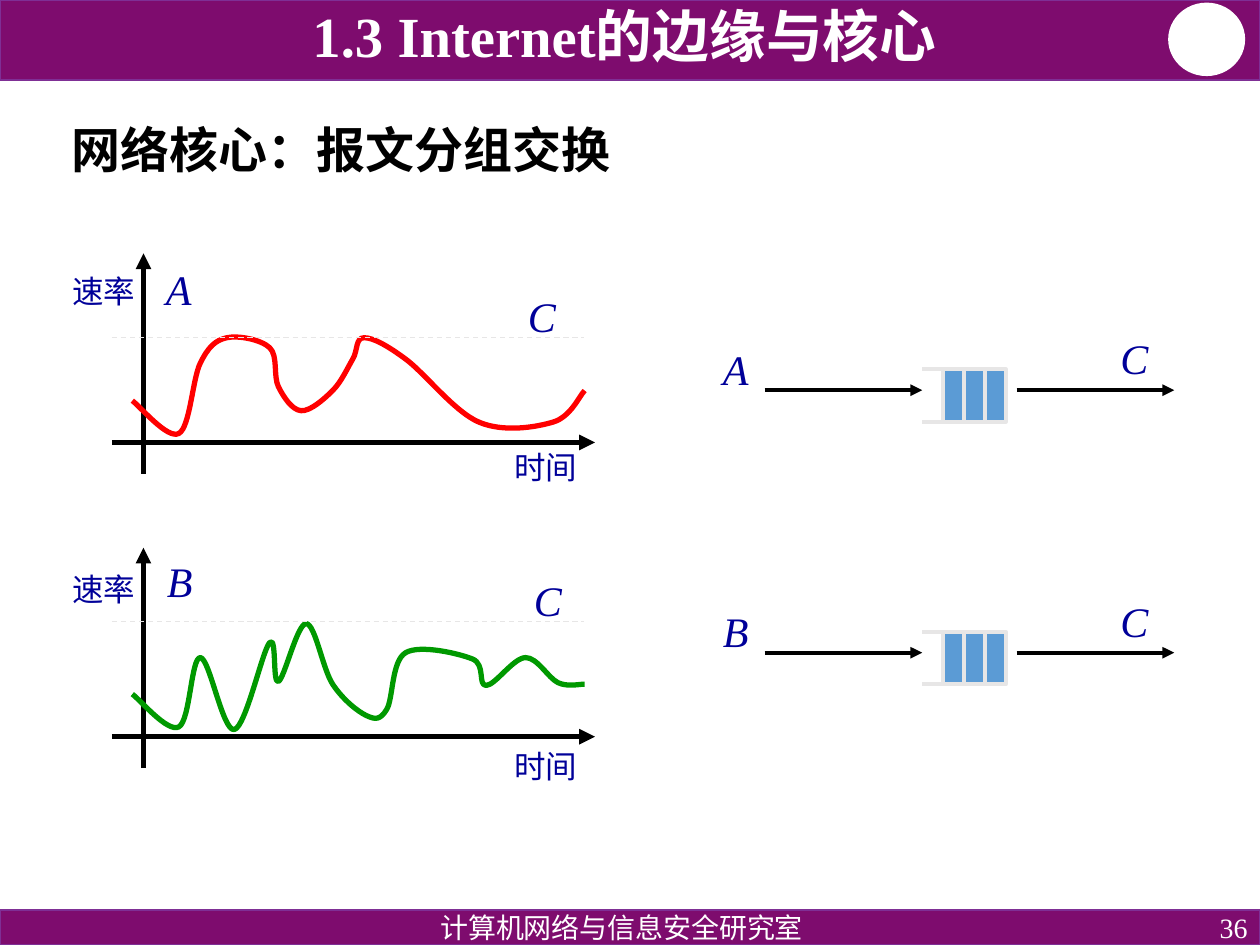
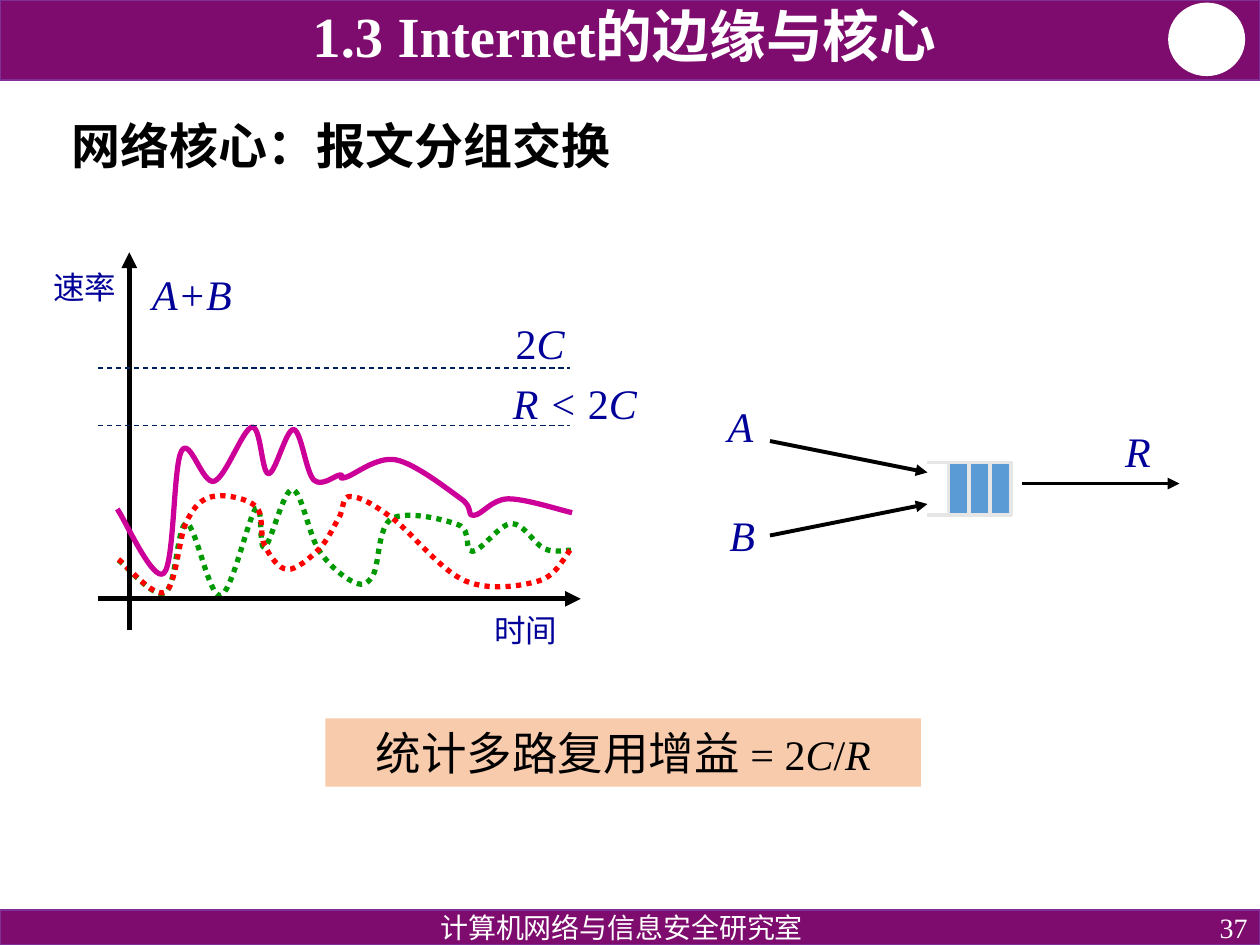
"""Build two slides on statistical multiplexing in packet switching."""
from lxml import etree
from pptx import Presentation
from pptx.dml.color import RGBColor
from pptx.enum import dml, shapes, text
from pptx.oxml.ns import qn
from pptx.util import Pt

BAND, BAND_EDGE, WHITE, BLACK = "7E0C6E", "7F2F95", "FFFFFF", "000000"
NAVY, PALE, CELL, PEACH = "000099", "E7E6E6", "5B9BD5", "F8CBAD"
RED, GREEN, MAGENTA, LEVEL = "FF0000", "009900", "CC0099", "002060"
LEFT, CENTER, RIGHT = text.PP_ALIGN.LEFT, text.PP_ALIGN.CENTER, text.PP_ALIGN.RIGHT
TOP, MIDDLE, BOTTOM = text.MSO_ANCHOR.TOP, text.MSO_ANCHOR.MIDDLE, text.MSO_ANCHOR.BOTTOM
DASH, DOT = dml.MSO_LINE.DASH, dml.MSO_LINE.ROUND_DOT
RECT, OVAL = shapes.MSO_SHAPE.RECTANGLE, shapes.MSO_SHAPE.OVAL


def rgb(code):
    """Turn a hex string into a colour."""
    return RGBColor.from_string(code)


def write(box, words, size=24, color=NAVY, font="Times New Roman", bold=False,
          align=LEFT, anchor=TOP, spacing=None, wrap=True):
    """Append words to the box; parts between asterisks are italic."""
    frame = box.text_frame
    frame.word_wrap = wrap
    frame.auto_size = text.MSO_AUTO_SIZE.NONE if wrap else text.MSO_AUTO_SIZE.SHAPE_TO_FIT_TEXT
    frame.vertical_anchor = anchor
    para = frame.paragraphs[0]
    para.alignment, para.line_spacing = align, spacing
    for index, part in enumerate(words.split("*")):
        if part:
            span = para.add_run()
            span.text = part
            span.font.name, span.font.size = font, Pt(size)
            span.font.bold, span.font.italic = bold, index % 2 == 1
            span.font.color.rgb = rgb(color)


deck = Presentation()
deck.slide_width, deck.slide_height = Pt(720), Pt(540)
pages = []
for number, title_height in [("36", 69), ("37", 64.4)]:
    page = deck.slides.add_slide(deck.slide_layouts[5])
    pages.append(page)
    for kind, area, fill, edge in [
        (RECT, (0, 0, 720, 45.7), BAND, BAND_EDGE),
        (OVAL, (668, 2, 43, 41), WHITE, WHITE),
        (RECT, (0, 520, 720, 20), BAND, BAND_EDGE),
    ]:
        band = page.shapes.add_shape(kind, *map(Pt, area))
        band.shadow.inherit = False
        band.fill.solid()
        band.fill.fore_color.rgb = rgb(fill)
        band.line.color.rgb = rgb(edge)
        band.line.width = Pt(1)
    for words, area, look in [
        (number, (558, 520, 162, 20), dict(size=16, align=RIGHT, anchor=MIDDLE)),
        ("计算机网络与信息安全研究室", (194, 518.7, 322.6, 20),
         dict(size=16, align=CENTER, spacing=0.9)),
        ("1.3 Internet的边缘与核心", (48.6, 2.5, 616.3, 40.3),
         dict(size=32.4, bold=True, align=CENTER, anchor=BOTTOM, spacing=0.8)),
    ]:
        write(page.shapes.add_textbox(*map(Pt, area)), words, color=WHITE, **look)
    title = page.shapes.title
    title.left, title.top, title.width, title.height = map(Pt, (33.8, 52.6, 645.8, title_height))
    write(title, "网络核心：报文分组交换", size=28, color=BLACK, bold=True, anchor=MIDDLE, spacing=0.9)
separate, shared = pages

rate_a = [(75.6, 229), (102.2, 247.7), (114.5, 207.4), (129.6, 193), (154.1, 198.7),
          (159.1, 221), (172.1, 234.7), (190.1, 223.2), (201.6, 205.2), (208.1, 193),
          (231.8, 205.2), (273.6, 241.2), (316.1, 241.2), (334.1, 223.2)]
rate_b = [(75.6, 396.7), (102.2, 415.4), (114.5, 375.8), (133.9, 416.9), (154.1, 367.2),
          (159.1, 389.5), (175, 356.4), (190.1, 391), (209.5, 409), (221, 405.4),
          (231.8, 373), (270, 376.6), (277.9, 391.7), (300.2, 375.8), (319, 390.2), (334.1, 391)]
rate_sum = [(67, 290.9), (93.6, 327.6), (103.7, 257.8), (122.4, 275), (144, 244.1),
            (153.4, 270.7), (167.8, 245.5), (179.3, 274.3), (194.4, 271.4), (197.3, 272.9),
            (226.1, 262.8), (263.5, 285.1), (270.7, 294.5), (290.2, 285.1), (326.9, 293)]

strokes = [
    (shared, [(x - 7.9, y - 76.6) for x, y in rate_b], GREEN, 3, DOT, False),
    (shared, [(x - 7.9, y + 90.7) for x, y in rate_a], RED, 3, DOT, False),
]
for page, x, y, rise, drop in [(separate, 82, 252.8, 108, 18), (separate, 82, 421, 108, 18),
                               (shared, 73.9, 342.2, 198, 18)]:
    strokes += [
        (page, [(x, y + drop), (x, y - rise)], BLACK, 3, None, True),
        (page, [(x - 18, y), (x + 258, y)], BLACK, 3, None, True),
    ]
strokes += [
    (separate, rate_a, RED, 3, None, False),
    (separate, rate_b, GREEN, 3, None, False),
    (shared, rate_sum, MAGENTA, 3, None, False),
]
for page, x, y, color in [(separate, 64, 193, PALE), (separate, 64, 355, PALE),
                          (shared, 56, 243.3, LEVEL), (shared, 56, 210.3, LEVEL)]:
    strokes.append((page, [(x, y), (x + 270, y)], color, 0.75, DASH, False))

for page, x, y in [(separate, 539, 211), (separate, 539, 361), (shared, 542, 264.3)]:
    for index in range(3):
        cell = page.shapes.add_shape(RECT, *map(Pt, (x + 11.9 * index, y, 11.9, 30.1)))
        cell.shadow.inherit = False
        cell.fill.solid()
        cell.fill.fore_color.rgb = rgb(CELL)
        cell.line.color.rgb = rgb(PALE)
        cell.line.width = Pt(2.25)
    for rail in (y, y + 30.1):
        strokes.append((page, [(x - 12, rail), (x + 11.9, rail)], PALE, 2.25, None, False))
for page, start, end in [
    (separate, (437, 223), (527, 223)), (separate, (581, 223), (671, 223)),
    (separate, (437, 373), (527, 373)), (separate, (581, 373), (671, 373)),
    (shared, (440, 252), (530, 270)), (shared, (440, 306), (530, 288)),
    (shared, (584, 276.3), (674, 276.3)),
]:
    strokes.append((page, [start, end], BLACK, 2.25, None, True))

for page, knots, color, weight, dash, arrow in strokes:
    if len(knots) == 2:
        stroke = page.shapes.add_connector(
            shapes.MSO_CONNECTOR.STRAIGHT, *map(Pt, knots[0] + knots[1]))
    else:
        knots = [tuple(map(Pt, knot)) for knot in knots]
        builder = page.shapes.build_freeform(*knots[0])
        builder.add_line_segments(knots[1:], close=False)
        stroke = builder.convert_to_shape()
        stroke.fill.background()
        padded = [knots[0], *knots, knots[-1]]
        segments = list(stroke._element.iter(qn("a:lnTo")))
        for segment, a, b, c, d in zip(segments, padded, padded[1:], padded[2:], padded[3:]):
            bend = etree.Element(qn("a:cubicBezTo"))
            leave = [q + (r - p) / 6 for p, q, r in zip(a, b, c)]
            arrive = [r - (s - q) / 6 for q, r, s in zip(b, c, d)]
            for x, y in (leave, arrive, c):
                etree.SubElement(bend, qn("a:pt"), x=str(round(x - stroke.left)),
                                 y=str(round(y - stroke.top)))
            segment.getparent().replace(segment, bend)
    stroke.line.color.rgb = rgb(color)
    stroke.line.width = Pt(weight)
    if dash:
        stroke.line.dash_style = dash
    properties = stroke._element.spPr
    if arrow:
        etree.SubElement(properties.find(qn("a:ln")), qn("a:tailEnd"), type="triangle")
    etree.SubElement(properties, qn("a:effectLst"))

for page, words, x, y, width in [
    (separate, "*A*", 87.8, 146.9, 28.8), (separate, "*B*", 88.3, 313.9, 28.8),
    (separate, "*C*", 294.5, 162.7, 30.2), (separate, "*C*", 298, 324.7, 30.2),
    (separate, "*A*", 406, 193, 28.8), (separate, "*C*", 633.1, 186.5, 30.2),
    (separate, "*B*", 406, 342.7, 28.8), (separate, "*C*", 633.1, 337, 30.2),
    (shared, "*A*", 408.7, 225.4, 28.8), (shared, "*B*", 409.7, 287.7, 28.8),
    (shared, "*R*", 635.8, 239.8, 28.8), (shared, "2*C*", 287.6, 177.8, 42.5),
    (shared, "*R < *2*C*", 286, 212.4, 85.7), (shared, "*A+B*", 79.9, 149.8, 59.8),
]:
    write(page.shapes.add_textbox(*map(Pt, (x, y, width, 36))), words, wrap=False)
for page, words, x, y, font in [
    (separate, "时间", 286.3, 252.7, "Times New Roman"),
    (separate, "时间", 286.3, 423.4, "Times New Roman"),
    (separate, "速率", 33.8, 151.9, "Times New Roman"),
    (separate, "速率", 33.8, 322.3, "Times New Roman"),
    (shared, "速率", 23, 149.8, "Calibri"),
    (shared, "时间", 275, 345.6, "Times New Roman"),
]:
    box = page.shapes.add_textbox(*map(Pt, (x, y, 51, 28.8)))
    write(box, words, size=18, font=font, align=CENTER, wrap=False)

gain = shared.shapes.add_shape(RECT, *map(Pt, (185.9, 410.6, 340.4, 38.9)))
gain.shadow.inherit = False
gain.fill.solid()
gain.fill.fore_color.rgb = rgb(PEACH)
gain.line.fill.background()
write(gain, "统计多路复用增益 ", size=26, color=BLACK, align=CENTER)
write(gain, "= 2*C*/*R*", color=BLACK, align=CENTER)

deck.save("out.pptx")
